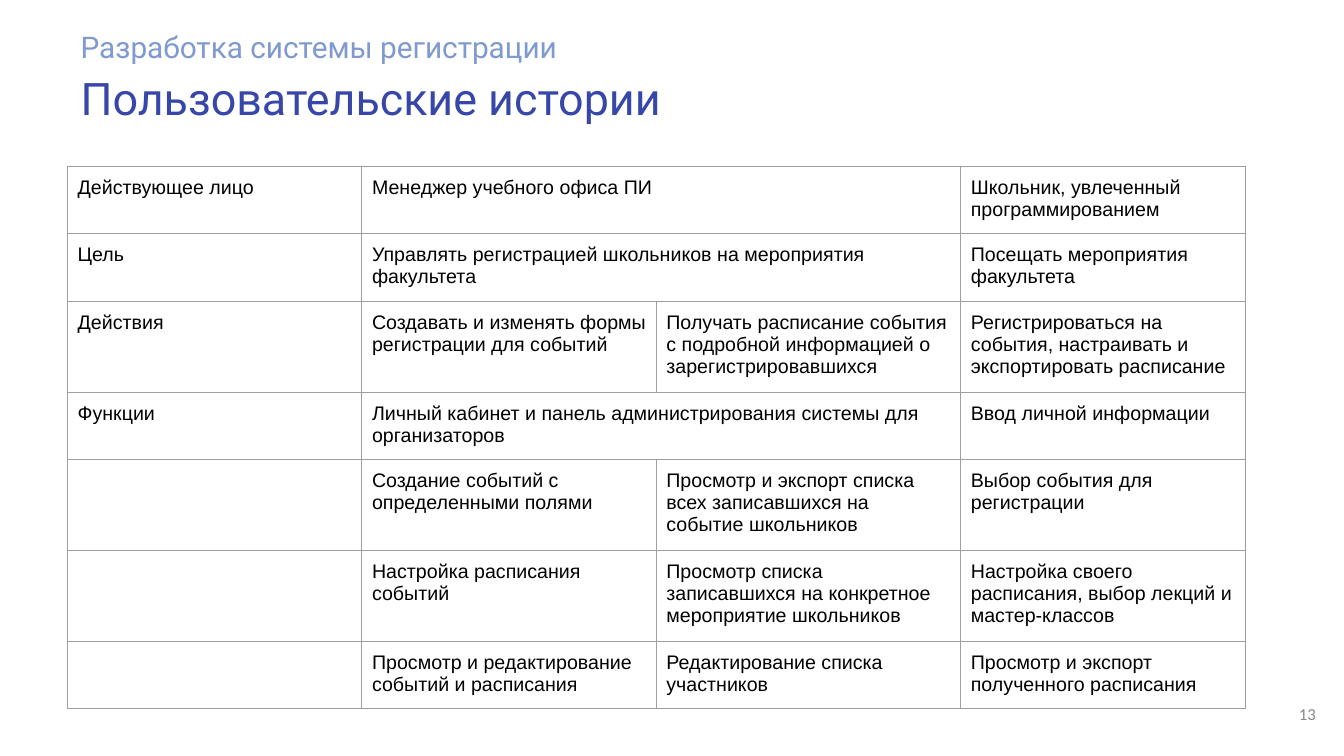
from lxml.etree import SubElement
from pptx import Presentation
from pptx.dml.color import RGBColor
from pptx.enum.text import MSO_ANCHOR as Anchor, PP_ALIGN as Align
from pptx.oxml.ns import qn
from pptx.util import Inches, Pt

LEFT = 0.67
COLUMN_WIDTHS = [2.92, 2.92, 3.02, 2.82]
TWO_LINES, THREE_LINES = 0.67, 0.9
ROW_HEIGHTS = [TWO_LINES, TWO_LINES, THREE_LINES, TWO_LINES,
               THREE_LINES, THREE_LINES, TWO_LINES]
CELL_FORMAT = {"size": 14, "name": "Arial", "color": "000000"}
STORIES = [
    ["Действующее лицо", "Менеджер учебного офиса ПИ", None,
     "Школьник, увлеченный программированием"],
    ["Цель", "Управлять регистрацией школьников на мероприятия факультета", None,
     "Посещать мероприятия факультета"],
    ["Действия", "Создавать и изменять формы регистрации для событий",
     "Получать расписание события с подробной информацией о зарегистрировавшихся",
     "Регистрироваться на события, настраивать и экспортировать расписание"],
    ["Функции", "Личный кабинет и панель администрирования системы для организаторов",
     None, "Ввод личной информации"],
    ["", "Создание событий с определенными полями",
     "Просмотр и экспорт списка всех записавшихся на событие школьников",
     "Выбор события для регистрации"],
    ["", "Настройка расписания событий",
     "Просмотр списка записавшихся на конкретное мероприятие школьников",
     "Настройка своего расписания, выбор лекций и мастер-классов"],
    ["", "Просмотр и редактирование событий и расписания",
     "Редактирование списка участников",
     "Просмотр и экспорт полученного расписания"],
]


def rgb(value):
    """Turn a hex string into a colour."""
    return RGBColor.from_string(value)


def set_margins(target, inset):
    """Give a text frame or a cell the same margin on every side."""
    for side in ("left", "right", "top", "bottom"):
        setattr(target, f"margin_{side}", Inches(inset))


def write(para, text, size, name, color):
    """Add one formatted span to a paragraph."""
    span = para.add_run()
    span.text = text
    for key, value in {"size": Pt(size), "name": name}.items():
        setattr(span.font, key, value)
    span.font.color.rgb = rgb(color)


def add_label(page, text, place, inset, text_format,
              align=Align.LEFT, anchor=Anchor.TOP):
    """Place one line of text in a box."""
    box = page.shapes.add_textbox(*map(Inches, place))
    frame = box.text_frame
    for key, value in {"word_wrap": True, "vertical_anchor": anchor}.items():
        setattr(frame, key, value)
    set_margins(frame, inset)
    para = frame.paragraphs[0]
    para.alignment = align
    write(para, text, **text_format)


def add_borders(cell, color, width):
    """Draw a solid line on each side of a cell."""
    properties = cell._tc.get_or_add_tcPr()
    for side in ("lnL", "lnR", "lnT", "lnB"):
        line = SubElement(properties, qn(f"a:{side}"), w=str(Pt(width)))
        SubElement(SubElement(line, qn("a:solidFill")), qn("a:srgbClr"), val=color)


def add_stories(page, top):
    """Build the table of user stories, merging the cells marked None."""
    table = page.shapes.add_table(
        len(STORIES), len(COLUMN_WIDTHS), Inches(LEFT), Inches(top),
        Inches(sum(COLUMN_WIDTHS)), Inches(sum(ROW_HEIGHTS))).table
    table.first_row = table.horz_banding = False
    for column, width in zip(table.columns, COLUMN_WIDTHS):
        column.width = Inches(width)
    for row, height in zip(table.rows, ROW_HEIGHTS):
        row.height = Inches(height)
    for row_index, story in enumerate(STORIES):
        for column_index, text in enumerate(story):
            cell = table.cell(row_index, column_index)
            set_margins(cell, 0.1)
            add_borders(cell, "9E9E9E", 0.75)
            cell.fill.background()
            if text is None:
                table.cell(row_index, column_index - 1).merge(cell)
            elif text:
                write(cell.text_frame.paragraphs[0], text, **CELL_FORMAT)


def main():
    """Build the slide and save the deck."""
    deck = Presentation()
    deck.slide_width, deck.slide_height = Inches(13.33), Inches(7.5)
    page = deck.slides.add_slide(deck.slide_layouts[6])
    add_label(page, "Пользовательские истории", (LEFT, 0.57, 12.25, 0.81), 0.13,
              {"size": 32, "name": "Roboto", "color": "3747A9"})
    add_label(page, "Разработка системы регистрации", (LEFT, 0.16, 12.25, 0.63), 0.13,
              {"size": 21.3, "name": "Roboto", "color": "7F9ACF"})
    add_label(page, "13", (12.35, 6.8, 0.8, 0.57), 0.1,
              {"size": 12, "name": "Calibri", "color": "888888"},
              Align.RIGHT, Anchor.MIDDLE)
    add_stories(page, 1.65)
    deck.save("out.pptx")


if __name__ == "__main__":
    main()
